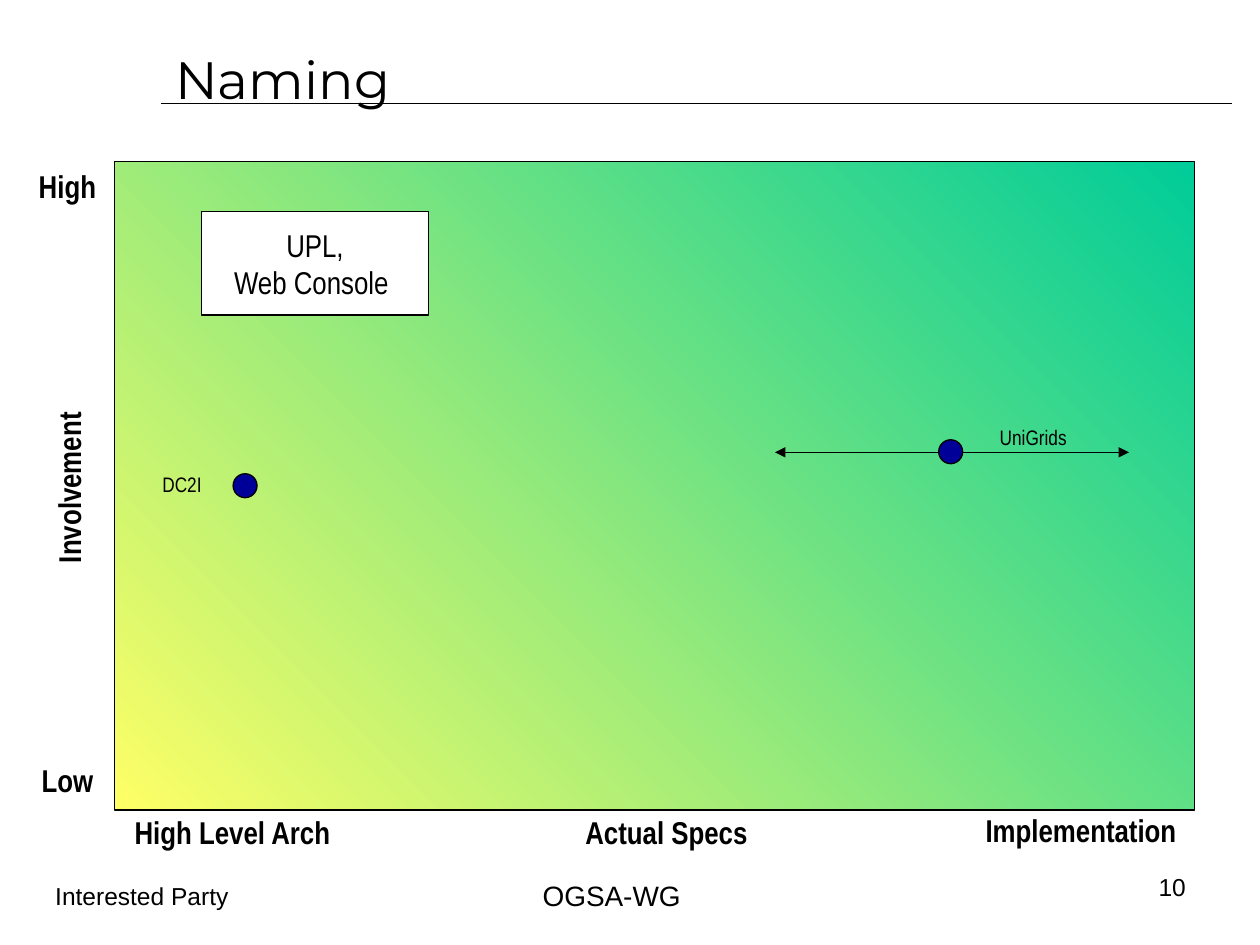
from pptx import Presentation
from pptx.dml.color import RGBColor
from pptx.enum.shapes import MSO_CONNECTOR, MSO_SHAPE
from pptx.enum.text import MSO_ANCHOR, MSO_AUTO_SIZE, PP_ALIGN
from pptx.oxml.ns import qn
from pptx.util import Pt
from lxml.etree import SubElement

PX = 9144  # 100 px to the inch
BLACK = RGBColor(0x00, 0x00, 0x00)
WHITE = RGBColor(0xFF, 0xFF, 0xFF)
NAVY = RGBColor(0x00, 0x00, 0x99)
GREEN = RGBColor(0x00, 0xCC, 0x99)
YELLOW = RGBColor(0xFF, 0xFF, 0x66)
LEFT, CENTER, RIGHT = PP_ALIGN.LEFT, PP_ALIGN.CENTER, PP_ALIGN.RIGHT

# Content: boxes are (left, top, width, height) in px
TITLE = ("Naming", (129, 33, 850, 58))
TITLE_RULE = (128, 82, 978, 82)
CHART_AREA = (91, 128, 857, 515)
AXIS_LABELS = [  # text, box, rotation
    ("High Level Arch", (77, 640, 215, 40), 0),
    ("Actual Specs", (441, 640, 176, 40), 0),
    ("Implementation", (746, 639, 224, 40), 0),
    ("Involvement", (-35, 367, 179, 40), 270),
    ("Low", (18, 599, 71, 40), 0),
    ("High", (14, 128, 79, 40), 0),
]
RANGE_ARROW = (615, 359, 896, 359)
DOT = 19
PROJECTS = [  # text, label box, alignment, dot corner
    ("UniGrids", (776, 332, 88, 30), CENTER, (745, 349)),
    ("DC2I", (119, 369, 58, 30), LEFT, (185, 376)),
]
NOTE = ("UPL,\nWeb Console ", (160, 168, 180, 82))
FOOTERS = [  # text, box, alignment, size
    ("OGSA-WG", (304, 683, 363, 55), CENTER, 16),
    ("10", (856, 692, 95, 24), RIGHT, 14),
    ("Interested Party", (34, 692, 176, 37), LEFT, 14),
]

prs = Presentation()
prs.slide_width, prs.slide_height = 1000 * PX, 750 * PX
slide = prs.slides.add_slide(prs.slide_layouts[5])
shapes = slide.shapes


def scaled(box):
    return [v * PX for v in box]


def write(sp, text, size, font, align=CENTER, bold=False,
          anchor=MSO_ANCHOR.TOP, wrap=False):
    tf = sp.text_frame
    tf.text = text
    tf.auto_size = MSO_AUTO_SIZE.NONE
    tf.word_wrap = wrap
    tf.vertical_anchor = anchor
    for p in tf.paragraphs:
        p.alignment = align
        for r in p.runs:
            r.font.name, r.font.size, r.font.bold = font, Pt(size), bold
            r.font.color.rgb = BLACK


def add_text(text, box, *style, **options):
    sp = shapes.add_textbox(*scaled(box))
    write(sp, text, *style, **options)
    return sp


def add_outlined(kind, box, color=None):
    sp = shapes.add_shape(kind, *scaled(box))
    sp.shadow.inherit = False
    sp.line.color.rgb, sp.line.width = BLACK, Pt(0.75)
    if color is not None:
        sp.fill.solid()
        sp.fill.fore_color.rgb = color
    return sp


def add_line(ends, arrows=False):
    line = shapes.add_connector(MSO_CONNECTOR.STRAIGHT, *scaled(ends))
    line.line.color.rgb, line.line.width = BLACK, Pt(0.75)
    if arrows:
        ln = line.line._get_or_add_ln()
        for end in ("a:headEnd", "a:tailEnd"):
            SubElement(ln, qn(end), type="triangle")
    SubElement(line._element.spPr, qn("a:effectLst"))


# Title and its rule
text, box = TITLE
title = shapes.title
title.left, title.top, title.width, title.height = scaled(box)
write(title, text, 30, "Montserrat", LEFT, anchor=MSO_ANCHOR.MIDDLE, wrap=True)
add_line(TITLE_RULE)

# Chart area, green at top right to yellow at bottom left
area = add_outlined(MSO_SHAPE.RECTANGLE, CHART_AREA)
area.fill.gradient()
area.fill.gradient_angle = 225
for stop, color, position in zip(area.fill.gradient_stops, (GREEN, YELLOW), (0, 1)):
    stop.color.rgb, stop.position = color, position

# Axis labels
for text, box, rotation in AXIS_LABELS:
    add_text(text, box, 18, "Arial Narrow", bold=True).rotation = rotation

# Projects
add_line(RANGE_ARROW, arrows=True)
for text, box, align, corner in PROJECTS:
    add_outlined(MSO_SHAPE.OVAL, (*corner, DOT, DOT), NAVY)
    add_text(text, box, 12, "Arial Narrow", align)

# Note
text, box = NOTE
note = add_outlined(MSO_SHAPE.RECTANGLE, box, WHITE)
write(note, text, 18, "Arial Narrow", anchor=MSO_ANCHOR.MIDDLE)

# Footers
for text, box, align, size in FOOTERS:
    add_text(text, box, size, "Arial", align, anchor=MSO_ANCHOR.MIDDLE, wrap=True)

prs.save("out.pptx")
